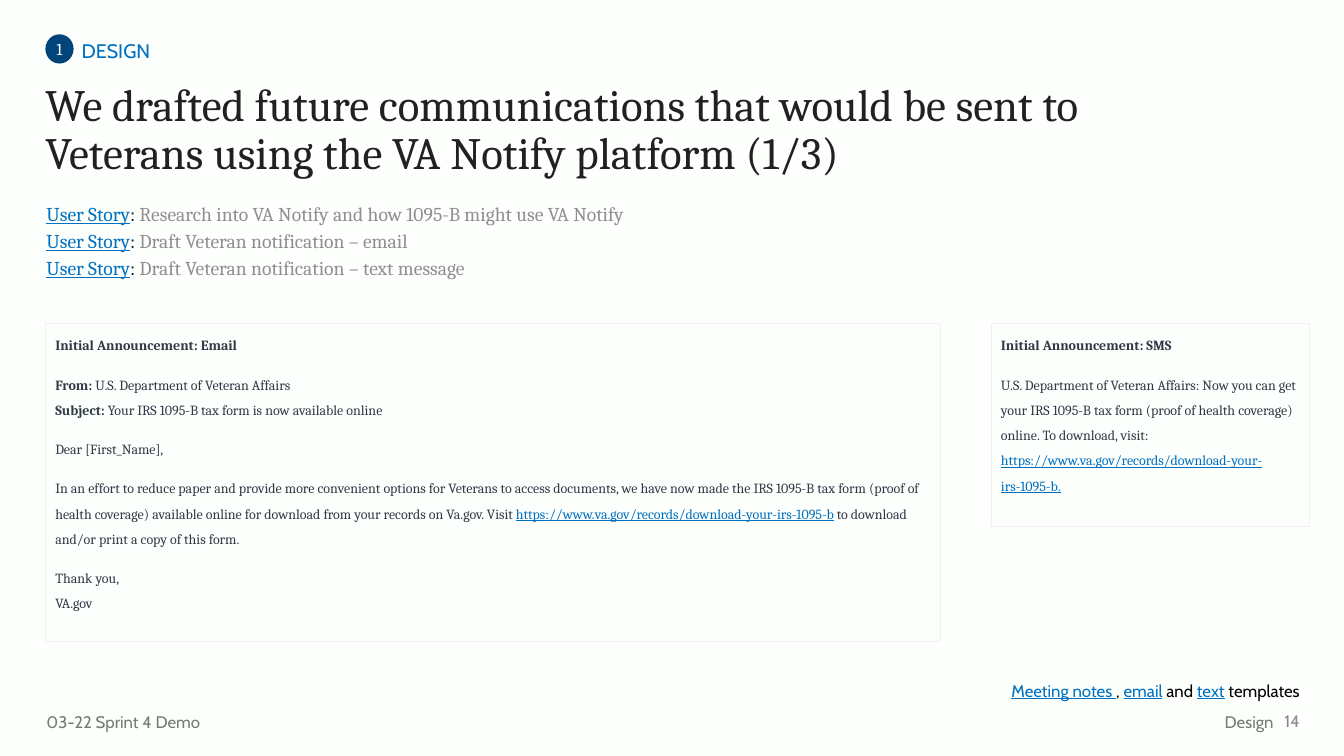
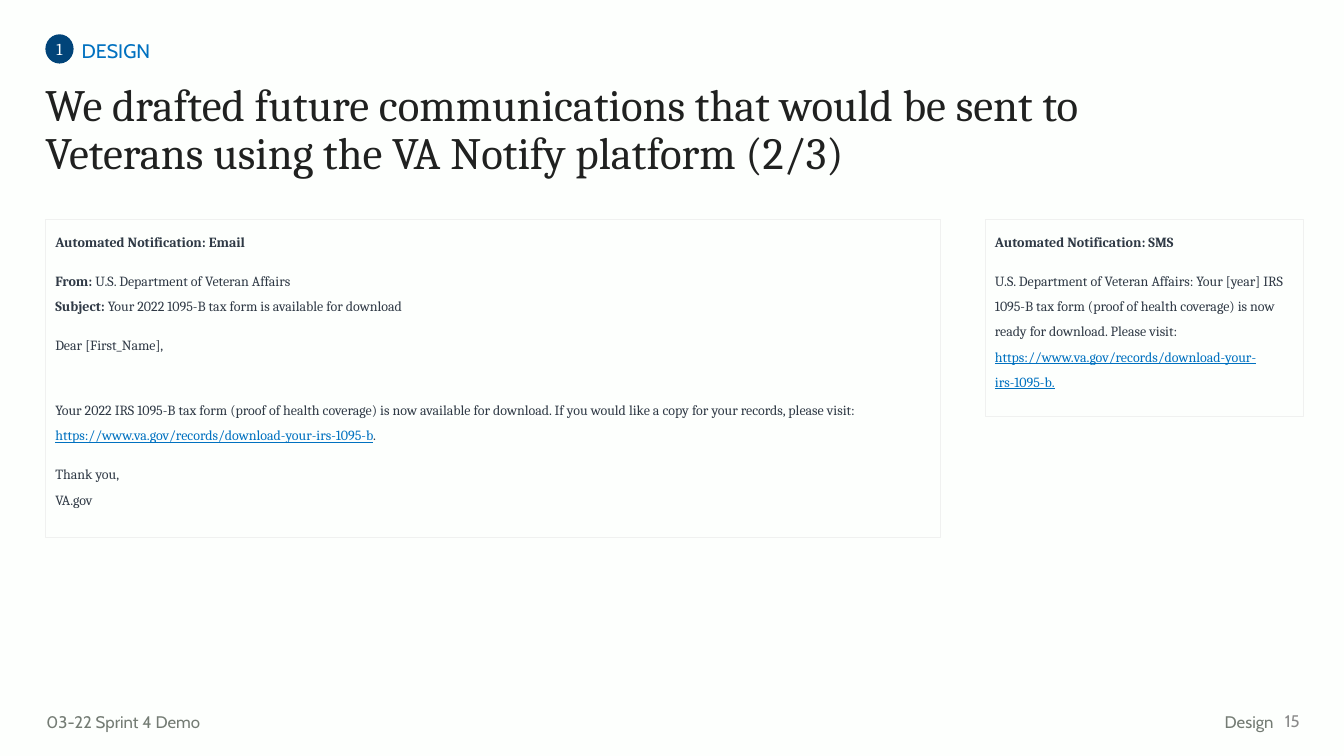
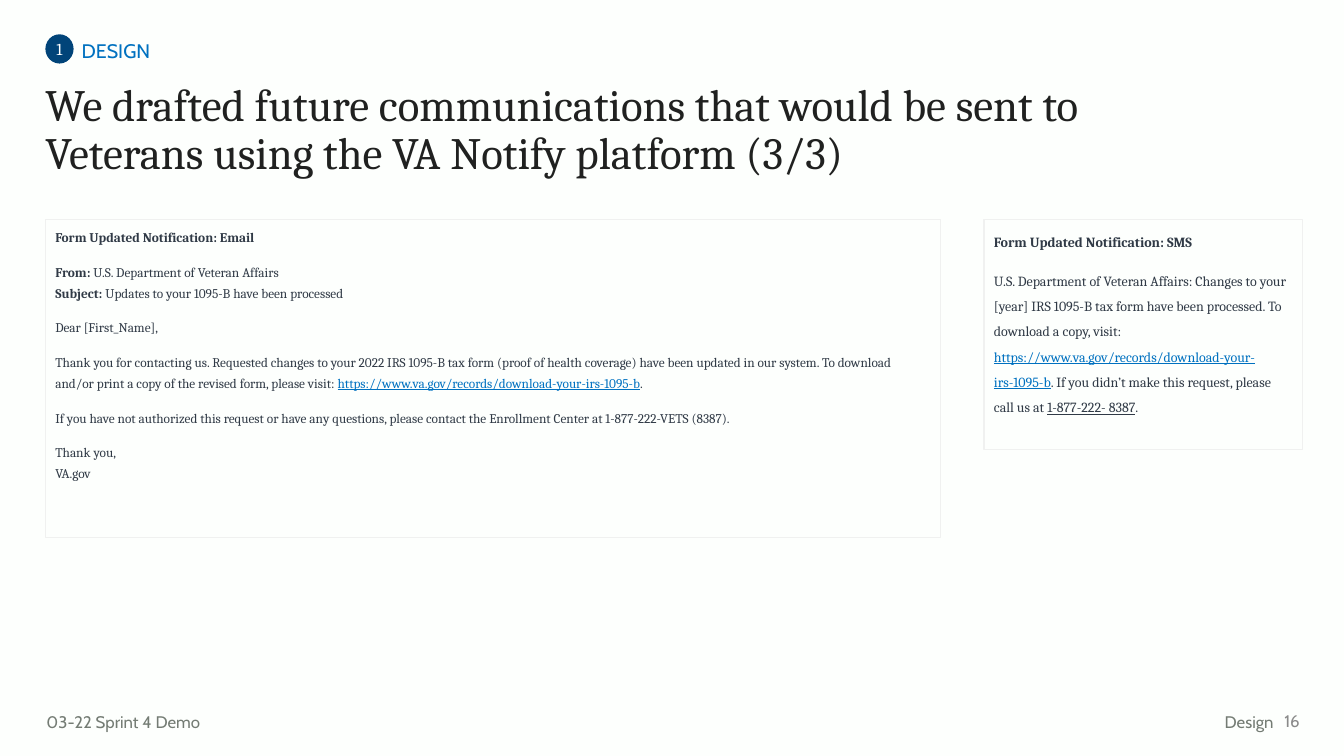
from pptx import Presentation
from pptx.dml.color import RGBColor
from pptx.enum import shapes, text
from pptx.util import Inches, Pt

PAPER = RGBColor(0xFD, 0xFF, 0xFD)
INK = RGBColor(0x20, 0x21, 0x20)
NAVY = RGBColor(0x01, 0x44, 0x79)
BLUE = RGBColor(0x00, 0x71, 0xC0)
SLATE = RGBColor(0x30, 0x3A, 0x46)
GRAY = RGBColor(0x8F, 0x8F, 0x8F)
PAGE = RGBColor(0x8A, 0x8A, 0x8A)
FOOT = RGBColor(0x74, 0x7C, 0x74)
EDGE = RGBColor(0xF0, 0xF1, 0xF0)
BLACK = RGBColor(0, 0, 0)
WHITE = RGBColor(0xFF, 0xFF, 0xFF)

SERIF, SANS = "Cambria", "Cabin"
LEFT, RIGHT = text.PP_ALIGN.LEFT, text.PP_ALIGN.RIGHT
CENTER = text.PP_ALIGN.CENTER
TOP, MIDDLE = text.MSO_ANCHOR.TOP, text.MSO_ANCHOR.MIDDLE
FLUSH, PADDED = (0, 0, 0, 0), (0.1, 0.05, 0.1, 0.05)

BOLD, LINK, UNDER, PALE = "bold", "link", "under", "pale"
URL = "https://www.va.gov/records/download-your-irs-1095-b"


def write(shape, paras, size, face, tint, pad=PADDED, align=LEFT,
          anchor=TOP, lead=1.0, gap=0):
    frame = shape.text_frame
    frame.word_wrap = True
    frame.vertical_anchor = anchor
    (frame.margin_left, frame.margin_top,
     frame.margin_right, frame.margin_bottom) = [Inches(p) for p in pad]
    for i, runs in enumerate(paras):
        para = frame.add_paragraph() if i else frame.paragraphs[0]
        para.alignment = align
        para.line_spacing = lead
        para.space_before = Pt(gap if i else 0)
        para.font.size = Pt(size)
        para.font.name = face
        para.font.color.rgb = tint
        for part in [runs] if isinstance(runs, str) else runs:
            words, style = (part, None) if isinstance(part, str) else part
            for j, line in enumerate(words.split("\n")):
                if j:
                    para.add_line_break()
                if not line:
                    continue
                run = para.add_run()
                run.text = line
                if style == BOLD:
                    run.font.bold = True
                if style in (LINK, UNDER):
                    run.font.underline = True
                if style == LINK:
                    run.font.color.rgb = BLUE
                if style == PALE:
                    run.font.color.rgb = GRAY


def label(slide, at, paras, size, face, tint, **style):
    box = slide.shapes.add_textbox(*[Inches(n) for n in at])
    write(box, paras, size, face, tint, **style)


HELLO = "Dear [First_Name],"
THANKS = "Thank you,\nVA.gov"
SENDER = "U.S. Department of Veteran Affairs"

DECK = [
    dict(
        name="Initial Announcement", top=3.21, size=10, lead=1.5,
        left=9.83, tall=2.01,
        subject="Your IRS 1095-B tax form is now available online",
        mail=[
            ["In an effort to reduce paper and provide more convenient options for "
             "Veterans to access documents, we have now made the IRS 1095-B tax form "
             "(proof of health coverage) available online for download from your "
             "records on Va.gov. Visit ", (URL, LINK),
             " to download and/or print a copy of this form."]],
        sms=["Now you can get your IRS 1095-B tax form (proof of health coverage) "
             "online. To download, visit: ", (URL + ".", LINK)]),
    dict(
        name="Automated Notification", top=2.18, size=10, lead=1.5,
        left=9.77, tall=1.95,
        subject="Your 2022 1095-B tax form is available for download",
        mail=[
            ["Your 2022 IRS 1095-B tax form (proof of health coverage) is now "
             "available for download. If you would like a copy for your records, "
             "please visit: ", (URL, LINK), "."]],
        sms=["Your [year] IRS 1095-B tax form (proof of health coverage) is now "
             "ready for download. Please visit: ", (URL + ".", LINK)]),
    dict(
        name="Form Updated Notification", top=2.18, size=9.5, lead=1.3,
        left=9.76, tall=2.28,
        subject="Updates to your 1095-B have been processed",
        mail=[
            ["Thank you for contacting us. Requested changes to your 2022 IRS 1095-B "
             "tax form (proof of health coverage) have been updated in our system. To "
             "download and/or print a copy of the revised form, please visit: ",
             (URL, LINK), "."],
            "If you have not authorized this request or have any questions, please "
            "contact the Enrollment Center at 1-877-222-VETS (8387)."],
        sms=["Changes to your [year] IRS 1095-B tax form have been processed. To "
             "download a copy, visit: ", (URL, LINK),
             ". If you didn’t make this request, please call us at ",
             ("1-877-222- 8387", UNDER), "."]),
]

deck = Presentation()
deck.slide_width, deck.slide_height = Inches(13.33), Inches(7.5)

for num, note in enumerate(DECK, 1):
    slide = deck.slides.add_slide(deck.slide_layouts[6])
    slide.background.fill.solid()
    slide.background.fill.fore_color.rgb = PAPER

    badge = slide.shapes.add_shape(
        shapes.MSO_SHAPE.OVAL, Inches(0.45), Inches(0.34), Inches(0.28), Inches(0.29))
    badge.shadow.inherit = False
    badge.fill.solid()
    badge.fill.fore_color.rgb = NAVY
    badge.line.fill.background()
    write(badge, ["1"], 12, SERIF, WHITE, pad=FLUSH, align=CENTER, anchor=MIDDLE)
    label(slide, (0.81, 0.34, 5.28, 0.4), ["DESIGN"], 14, SANS, BLUE,
          pad=(0, 0.05, 0, 0.05))
    label(slide, (0.45, 0.82, 11.11, 1.11),
          ["We drafted future communications that would be sent to Veterans "
           f"using the VA Notify platform ({num}/{len(DECK)})"],
          32, SERIF, INK, pad=FLUSH, lead=0.9)

    mail = [[(note["name"] + ": Email", BOLD)],
            [("From:", BOLD), f" {SENDER}\n", ("Subject:", BOLD), " " + note["subject"]],
            HELLO, *note["mail"], THANKS]
    sms = [[(note["name"] + ": SMS", BOLD)], [SENDER + ": ", *note["sms"]]]
    for left, wide, tall, paras, size, lead in [
            (0.45, 8.88, 3.15, mail, note["size"], note["lead"]),
            (note["left"], 3.16, note["tall"], sms, 10, 1.5)]:
        card = slide.shapes.add_shape(
            shapes.MSO_SHAPE.RECTANGLE, Inches(left), Inches(note["top"]),
            Inches(wide), Inches(tall))
        card.shadow.inherit = False
        card.fill.background()
        card.line.color.rgb = EDGE
        card.line.width = Pt(0.75)
        write(card, paras, size, SERIF, SLATE, lead=lead, gap=10)
        if num == 2 and paras is mail:
            card.text_frame.paragraphs[3].space_before = Pt(28)

    if num == 1:
        label(slide, (0.46, 1.97, 12.42, 1.08),
              [[("User Story", LINK), ": ", (story, PALE)] for story in (
                  "Research into VA Notify and how 1095-B might use VA Notify",
                  "Draft Veteran notification – email",
                  "Draft Veteran notification – text message")],
              14, SERIF, INK, pad=FLUSH, lead=1.15)
        label(slide, (9.03, 6.7, 3.96, 0.3),
              [[("Meeting notes ", LINK), ", ", ("email", LINK), " and ",
                ("text", LINK), " templates"]],
              12, SANS, BLACK, align=RIGHT)

    label(slide, (0.46, 7.01, 2.98, 0.3), ["03-22 Sprint 4 Demo"], 12, SANS, FOOT,
          pad=(0, 0.05, 0.1, 0.05))
    label(slide, (9.75, 7.01, 2.98, 0.3), ["Design"], 12, SANS, FOOT, align=RIGHT)
    label(slide, (12.55, 6.95, 0.44, 0.4), [str(num + 13)], 12, SANS, PAGE,
          align=RIGHT, anchor=MIDDLE)

deck.save("out.pptx")
